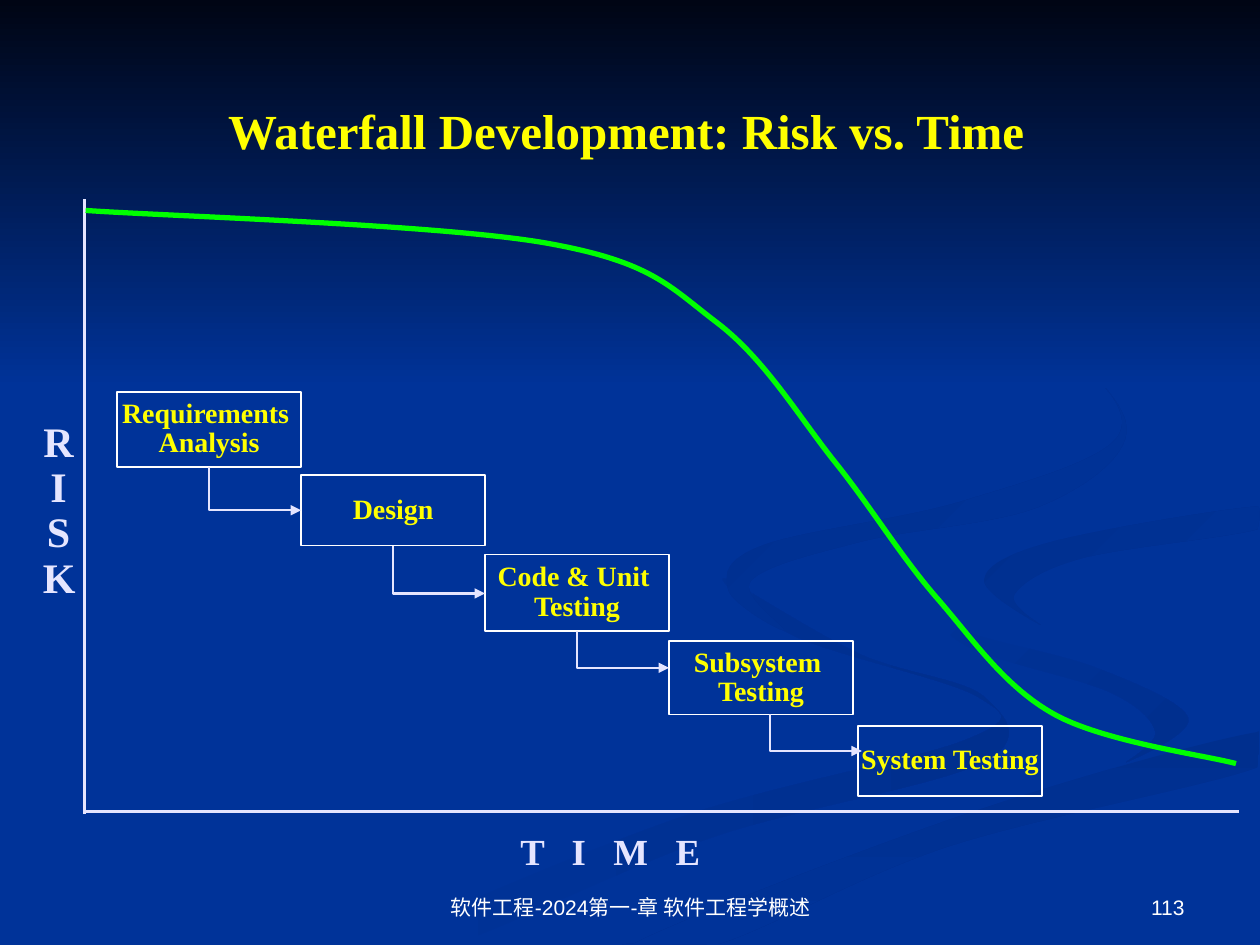
from lxml import etree
from pptx import Presentation
from pptx.dml.color import RGBColor
from pptx.enum.shapes import MSO_CONNECTOR, MSO_SHAPE
from pptx.enum.text import MSO_ANCHOR, PP_ALIGN
from pptx.oxml.ns import qn
from pptx.util import Inches, Pt

STRAIGHT, ELBOW = MSO_CONNECTOR.STRAIGHT, MSO_CONNECTOR.ELBOW
RECTANGLE = MSO_SHAPE.RECTANGLE
TOP, MIDDLE, BOTTOM = MSO_ANCHOR.TOP, MSO_ANCHOR.MIDDLE, MSO_ANCHOR.BOTTOM
LEFT, CENTER, RIGHT = PP_ALIGN.LEFT, PP_ALIGN.CENTER, PP_ALIGN.RIGHT

THEME = {
    "page": "003399", "sky": "000514", "shade": "002F8E",
    "axis": "E5E5FF", "curve": "00FF00", "accent": "FFFF00", "plain": "FFFFFF",
    "serif": "Times New Roman", "sans": "Arial",
    "title": 28, "risk": 24, "time": 21, "phase": 16, "footer": 12,
    "axis_line": 2, "curve_line": 3, "box_line": 1, "arrow_line": 1.25,
}

WIDTH, HEIGHT = 10, 7.5
SKY_HEIGHT = 3.08
BOX_WIDTH, FIRST_LEFT = 1.46, 0.93
ARROW_RUN = BOX_WIDTH / 2
LABEL_INSETS, WIDE_INSETS = (0.09, 0.04), (0.1, 0.05)

TITLE = "Waterfall Development: Risk vs. Time"
FOOTER = "软件工程-2024第一-章 软件工程学概述"
PAGE_NUMBER = "113"

# label, top, height, shift right of the grid
PHASES = [
    (["Requirements ", "Analysis"], 3.11, 0.60, 0),
    (["Design"], 3.77, 0.56, 0),
    (["Code & Unit ", "Testing"], 4.40, 0.61, 0),
    (["Subsystem ", "Testing"], 5.09, 0.58, 0),
    (["System Testing"], 5.76, 0.56, 0.04),
]
ARROWS = [(4.05, 0), (4.71, 0), (5.30, 0), (5.96, 0.07)]
AXES = [((0.67, 1.58), (0.67, 6.46)), ((0.68, 6.44), (9.83, 6.44))]
RISK_CURVE = [(0.68, 1.67), (4.34, 1.93), (5.69, 2.56), (6.63, 3.67),
              (7.44, 4.75), (8.37, 5.67), (9.81, 6.06)]

# start colour, end colour, angle, outline
RIBBONS = [
    ("page", "shade", 0, [
        (7.81, 5.53), (6.82, 5.19), (5.75, 4.59), (6.31, 5.05), (7.76, 5.53),
        (7.67, 5.87), (5.39, 6.49), (3, 7.49), (3.61, 7.49), (5.64, 6.65),
        (7.8, 6.05)]),
    ("page", "shade", 45, [
        (9.43, 5.7), (8.7, 5.3), (7.58, 4.98), (7.24, 4.64), (7.66, 5.12),
        (8.8, 5.49), (9.17, 5.81), (8.94, 6.05)]),
    ("shade", "page", 90, [
        (5.03, 7.49), (5.71, 7.49), (7.52, 6.72), (9.98, 6.09), (9.98, 5.81),
        (7.64, 6.47)]),
    ("shade", "page", 45, [
        (7.81, 4.6), (8.26, 4.96), (8.05, 4.72), (8.59, 4.43), (9.98, 4.2),
        (9.98, 4.02), (8.35, 4.3)]),
    ("shade", "page", 45, [
        (6.83, 4.3), (8.25, 4.02), (8.94, 3.44), (8.43, 2.75), (7.62, 2.33),
        (8.55, 2.85), (8.86, 3.48), (7.63, 3.98), (6.05, 4.33), (5.78, 4.68),
        (6.22, 5), (5.96, 4.61)]),
]


def color(name):
    return RGBColor.from_string(THEME[name])


def write(shape, lines, font="serif", size="phase", ink="accent", bold=True,
          align=CENTER, anchor=TOP, wrap=False, spacing=None, insets=LABEL_INSETS,
          tracking=None):
    frame = shape.text_frame
    frame.word_wrap, frame.vertical_anchor = wrap, anchor
    frame.margin_left = frame.margin_right = Inches(insets[0])
    frame.margin_top = frame.margin_bottom = Inches(insets[1])
    for index, line in enumerate(lines):
        para = frame.add_paragraph() if index else frame.paragraphs[0]
        para.alignment, para.line_spacing = align, spacing
        span = para.add_run()
        span.text = line
        span.font.name, span.font.size = THEME[font], Pt(THEME[size])
        span.font.bold, span.font.color.rgb = bold, color(ink)
        if tracking:
            span.font._element.set("spc", str(int(tracking * 100)))


def add_label(page, area, lines, **style):
    write(page.shapes.add_textbox(*map(Inches, area)), lines, **style)


def bezier_points(knots, close):
    if close:
        padded = [knots[-1], *knots, *knots[:2]]
    else:
        padded = [knots[0], *knots, knots[-1]]
    for before, start, end, after in zip(padded, padded[1:], padded[2:], padded[3:]):
        yield [s + (e - b) / 6 for b, s, e in zip(before, start, end)]
        yield [e - (a - s) / 6 for s, e, a in zip(start, end, after)]
        yield end


def add_smooth_shape(page, knots, close):
    points = [(Inches(min(x, WIDTH)), Inches(min(y, HEIGHT)))
              for x, y in bezier_points(knots, close)]
    builder = page.shapes.build_freeform(*map(Inches, knots[0]))
    builder.add_line_segments(points, close=False)
    shape = builder.convert_to_shape()
    shape.shadow.inherit = False
    segments = list(shape._element.iter(qn("a:lnTo")))
    outline = segments[0].getparent()
    for trio in zip(*[iter(segments)] * 3):
        bend = etree.SubElement(outline, qn("a:cubicBezTo"))
        for segment in trio:
            bend.append(segment[0])
            outline.remove(segment)
    if close:
        etree.SubElement(outline, qn("a:close"))
    return shape


def shade(shape, first, last, angle):
    shape.shadow.inherit = False
    shape.line.fill.background()
    shape.fill.gradient()
    shape.fill.gradient_angle = (360 - angle) % 360
    for stop, name in zip(shape.fill.gradient_stops, (first, last)):
        stop.color.rgb = color(name)


def add_line(page, kind, start, end, width):
    line = page.shapes.add_connector(kind, *map(Inches, (*start, *end)))
    line.line.color.rgb, line.line.width = color("axis"), Pt(THEME[width])
    etree.SubElement(line._element.spPr, qn("a:effectLst"))
    return line


def add_arrow(page, start, end):
    arrow = add_line(page, ELBOW, start, end, "arrow_line")
    run, drop = end[0] - start[0], end[1] - start[1]
    arrow.left = Inches(start[0] + (run - drop) / 2)
    arrow.top = Inches(start[1] + (drop - run) / 2)
    arrow.width, arrow.height = Inches(drop), Inches(run)
    properties = arrow._element.spPr
    frame = properties.find(qn("a:xfrm"))
    frame.set("rot", "16200000")
    frame.set("flipH", "1")
    properties.find(qn("a:prstGeom")).set("prst", "bentConnector2")
    etree.SubElement(properties.find(qn("a:ln")), qn("a:tailEnd"), type="triangle")


def main():
    deck = Presentation()
    deck.slide_width, deck.slide_height = Inches(WIDTH), Inches(HEIGHT)
    page = deck.slides.add_slide(deck.slide_layouts[6])
    page.background.fill.solid()
    page.background.fill.fore_color.rgb = color("page")
    for first, last, angle, knots in RIBBONS:
        shade(add_smooth_shape(page, knots, True), first, last, angle)
    sky = page.shapes.add_shape(RECTANGLE, 0, 0, Inches(WIDTH), Inches(SKY_HEIGHT))
    shade(sky, "sky", "page", 90)

    footer = dict(font="sans", size="footer", ink="plain", bold=False,
                  anchor=BOTTOM, wrap=True, insets=WIDE_INSETS)
    add_label(page, (7.17, 6.83, 2.33, 0.52), [PAGE_NUMBER], align=RIGHT, **footer)
    add_label(page, (3.42, 6.83, 3.17, 0.52), [FOOTER], **footer)
    add_label(page, (0.5, 0.5, 8.94, 0.81), [TITLE], size="title", anchor=BOTTOM,
              wrap=True, insets=WIDE_INSETS)

    for start, end in AXES:
        add_line(page, STRAIGHT, start, end, "axis_line")
    add_label(page, (0.25, 3.3, 0.43, 1.52), list("RISK"), size="risk", ink="axis",
              spacing=0.9)
    add_label(page, (4.04, 6.58, 1.61, 0.4), ["T I M E"], size="time", ink="axis",
              align=LEFT, spacing=0.9, tracking=THEME["time"] / 4)
    curve = add_smooth_shape(page, RISK_CURVE, False)
    curve.fill.background()
    curve.line.color.rgb, curve.line.width = color("curve"), Pt(THEME["curve_line"])

    for column, (lines, top, height, shift) in enumerate(PHASES):
        left = FIRST_LEFT + column * BOX_WIDTH + shift
        area = map(Inches, (left, top, BOX_WIDTH, height))
        box = page.shapes.add_shape(RECTANGLE, *area)
        box.shadow.inherit = False
        box.fill.background()
        box.line.color.rgb, box.line.width = color("plain"), Pt(THEME["box_line"])
        write(box, lines, anchor=MIDDLE, spacing=0.87)
    for column, (end_y, shift) in enumerate(ARROWS):
        _, top, height, _ = PHASES[column]
        start_x = FIRST_LEFT + (column + 0.5) * BOX_WIDTH + shift
        add_arrow(page, (start_x, top + height), (start_x + ARROW_RUN, end_y))
    deck.save("out.pptx")


if __name__ == "__main__":
    main()
